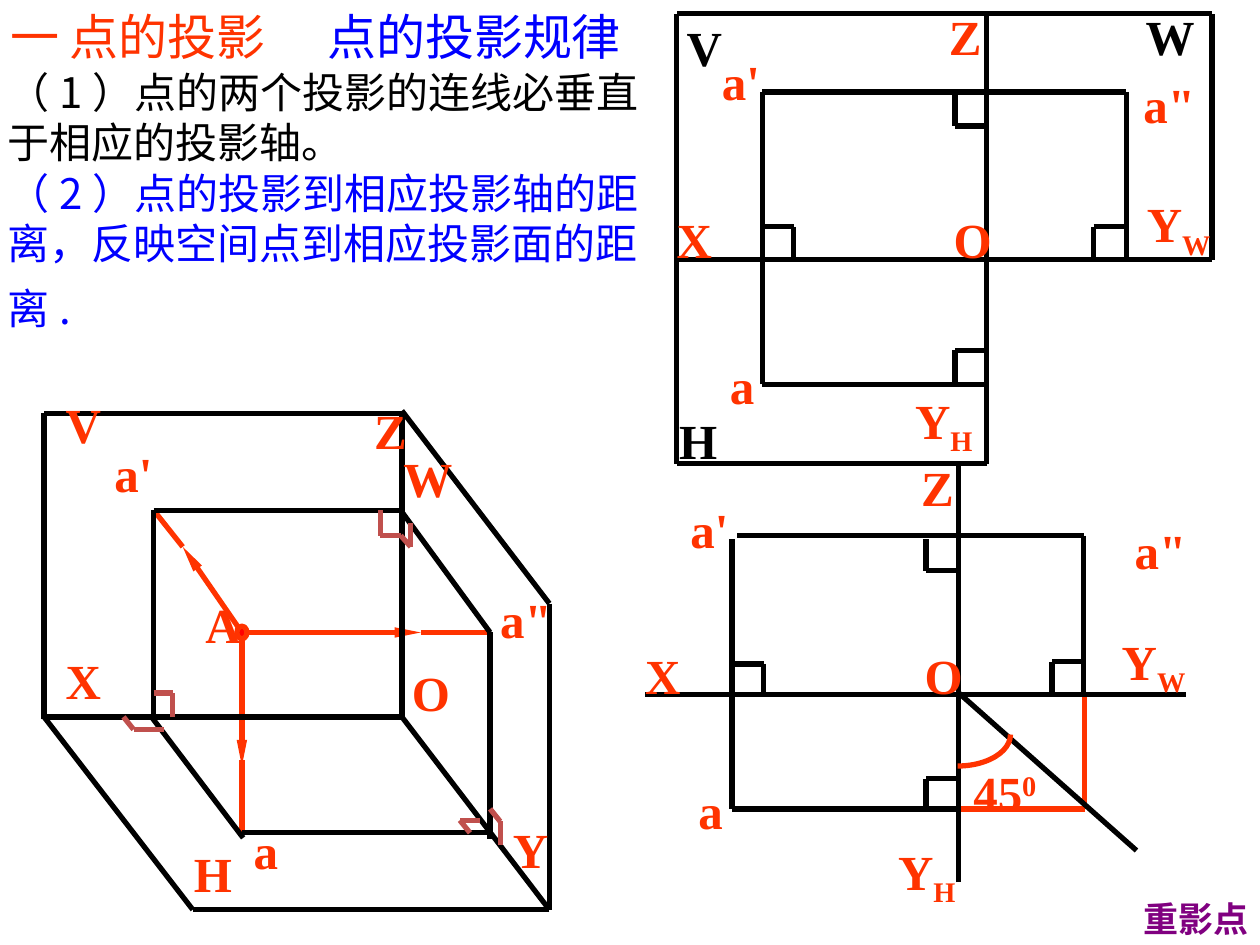
"""Build a slide on the projection rules of a point, with an oblique view and two unfolded views."""
from itertools import pairwise

from lxml import etree
from pptx import Presentation
from pptx.dml.color import RGBColor
from pptx.enum.shapes import MSO_CONNECTOR, MSO_SHAPE
from pptx.enum.text import MSO_ANCHOR, MSO_AUTO_SIZE, PP_ALIGN
from pptx.oxml.ns import qn
from pptx.util import Cm, Pt

STRAIGHT = MSO_CONNECTOR.STRAIGHT
OVAL, ARC = MSO_SHAPE.OVAL, MSO_SHAPE.ARC
TOP, MIDDLE = MSO_ANCHOR.TOP, MSO_ANCHOR.MIDDLE
LEFT, CENTER = PP_ALIGN.LEFT, PP_ALIGN.CENTER
NO_RESIZE = MSO_AUTO_SIZE.NONE
INCH = 2.54
LABEL_HEIGHT = 0.57
THEME = {
    "black": RGBColor(0x00, 0x00, 0x00),
    "orange": RGBColor(0xFF, 0x33, 0x00),
    "red": RGBColor(0xFF, 0x00, 0x00),
    "brick": RGBColor(0xC0, 0x50, 0x4D),
    "blue": RGBColor(0x00, 0x00, 0xFF),
    "purple": RGBColor(0x80, 0x00, 0x80),
    "chinese": "Noto Sans CJK SC",
    "heading": {"name": "Noto Sans CJK SC", "size": Pt(28), "bold": False},
    "subheading": {"name": "Cambria", "size": Pt(28), "bold": False},
    "body": {"name": "Noto Sans CJK SC", "size": Pt(24), "bold": False},
    "body_end": {"name": "Noto Sans CJK SC", "size": Pt(32), "bold": True},
    "label": {"name": "Times New Roman", "size": Pt(28), "bold": True},
    "link": {"name": "Cambria", "size": Pt(20), "bold": True},
    "line": Pt(3),
}


def add_run(paragraph, text, style, color, baseline=0):
    run = paragraph.add_run()
    run.text = text
    for name, value in THEME[style].items():
        setattr(run.font, name, value)
    run.font.color.rgb = THEME[color]
    properties = run._r.get_or_add_rPr()
    etree.SubElement(properties, qn("a:ea"), typeface=THEME["chinese"])
    if baseline:
        properties.set("baseline", str(baseline * 1000))


def format_box(shape, box, anchor, alignment, wrap):
    for name, value in zip(("left", "top", "width", "height"), box):
        setattr(shape, name, Cm(value * INCH))
    frame = shape.text_frame
    settings = {"vertical_anchor": anchor, "word_wrap": wrap, "auto_size": NO_RESIZE}
    for name, value in settings.items():
        setattr(frame, name, value)
    frame.paragraphs[0].alignment = alignment
    return frame


presentation = Presentation()
presentation.slide_width, presentation.slide_height = Cm(25.4), Cm(19.05)
slide = presentation.slides.add_slide(presentation.slide_layouts[5])
shapes = slide.shapes

title = format_box(shapes.title, (-0.02, 0, 2.34, 0.57), TOP, LEFT, False)
add_run(title.paragraphs[0], "一 点的投影", "heading", "orange")

body = format_box(shapes.add_textbox(0, 0, 0, 0), (-0.04, 0.68, 5.39, 1.83), MIDDLE, LEFT, True)
add_run(body.paragraphs[0], "（1）点的两个投影的连线必垂直于相应的投影轴。", "body", "black")
second_rule = body.add_paragraph()
add_run(second_rule, "（2）点的投影到相应投影轴的距离，反映空间点到相应投影面的距离.", "body", "blue")
add_run(second_rule, " ", "body_end", "brick")

point_a, projection_v, projection_w = (1.92, 5.02), (1.22, 4.05), (3.89, 5.02)
oblique_lines = [
    ("orange", True, [point_a, (1.45, 4.34)]),
    ("orange", False, [(1.45, 4.34), projection_v]),
    ("orange", True, [point_a, (3.34, 5.02)]),
    ("orange", False, [(3.34, 5.02), projection_w]),
    ("orange", True, [point_a, (1.92, 6.08)]),
    ("orange", False, [(1.92, 6.03), (1.92, 6.61)]),
    ("black", False, [(0.35, 5.71), (0.35, 3.28), (3.19, 3.28)]),
    ("black", False, [(0.35, 5.69), (3.19, 5.69), (4.36, 7.22), (1.53, 7.22), (0.35, 5.69)]),
    ("black", False, [(3.19, 5.69), (3.19, 3.26), (4.36, 4.79), (4.36, 7.22)]),
    ("black", False, [(1.22, 5.69), projection_v, (3.18, 4.05), projection_w, (3.89, 6.66)]),
    ("black", False, [(1.21, 5.7), (1.93, 6.65)]),
    ("black", False, [(1.92, 6.61), (3.89, 6.61)]),
    ("brick", False, [(1.22, 5.5), (1.37, 5.5), (1.37, 5.69)]),
    ("brick", False, [(0.98, 5.69), (1.06, 5.79), (1.3, 5.79)]),
    ("brick", False, [(3.89, 6.42), (3.97, 6.52), (3.97, 6.71)]),
    ("brick", False, [(3.02, 4.05), (3.02, 4.25), (3.18, 4.25), (3.26, 4.34), (3.26, 4.15)]),
    ("brick", False, [(3.81, 6.51), (3.65, 6.51), (3.73, 6.61)]),
]
unfolded_lines = [
    ("black", False, [(5.37, 2.06), (9.62, 2.06), (9.62, 0.11), (5.37, 0.11), (5.37, 3.68),
                      (7.83, 3.68), (7.83, 0.11)]),
    ("black", False, [(7.83, 3.05), (6.05, 3.05), (6.05, 0.73), (8.94, 0.73), (8.94, 2.07)]),
    ("black", False, [(6.05, 1.8), (6.3, 1.8), (6.3, 2.07)]),
    ("black", False, [(7.83, 2.78), (7.58, 2.78), (7.58, 3.05)]),
    ("black", False, [(7.58, 0.73), (7.58, 1), (7.83, 1)]),
    ("black", False, [(8.68, 2.07), (8.68, 1.8), (8.94, 1.8)]),
]
axes_lines = [
    ("orange", False, [(8.61, 5.5), (8.61, 6.42), (7.53, 6.42)]),
    ("black", False, [(7.61, 5.5), (9.02, 6.75)]),
    ("black", False, [(5.12, 5.51), (9.41, 5.51)]),
    ("black", False, [(7.61, 7), (7.61, 3.7)]),
    ("black", False, [(5.81, 4.28), (5.81, 6.42), (7.62, 6.42)]),
    ("black", False, [(5.85, 4.25), (8.6, 4.25), (8.6, 5.49)]),
    ("black", False, [(5.81, 5.27), (6.06, 5.27), (6.06, 5.52)]),
    ("black", False, [(7.61, 6.18), (7.35, 6.18), (7.35, 6.42)]),
    ("black", False, [(7.35, 4.28), (7.35, 4.53), (7.61, 4.53)]),
    ("black", False, [(8.35, 5.5), (8.35, 5.25), (8.61, 5.25)]),
]
for color, has_arrow, points in oblique_lines + unfolded_lines + axes_lines:
    for start, end in pairwise(points):
        connector = shapes.add_connector(STRAIGHT, *(Cm(value * INCH) for value in start + end))
        connector.line.color.rgb = THEME[color]
        connector.line.width = THEME["line"]
        etree.SubElement(connector._element.spPr, qn("a:effectLst"))
        if has_arrow:
            line = connector.line._get_or_add_ln()
            etree.SubElement(line, qn("a:tailEnd"), type="triangle", w="sm", len="lg")

curves = [
    (OVAL, (1.88, 4.97, 0.08, 0.1)),
    (ARC, (7.18, 5.58, 0.84, 0.5)),
]
for kind, box in curves:
    curve = shapes.add_shape(kind, *(Cm(value * INCH) for value in box))
    curve.shadow.inherit = False
    curve.line.color.rgb = THEME["orange"]
    curve.line.width = THEME["line"]
    if kind == ARC:
        curve.fill.background()
        curve.adjustments[0], curve.adjustments[1] = 0, 54
    else:
        curve.fill.solid()
        curve.fill.fore_color.rgb = THEME["red"]

labels = [
    ("A", "", 1.53, 4.67, 0.48, "orange"),
    ("O", "", 3.17, 5.21, 0.5, "orange"),
    ("X", "", 0.42, 5.11, 0.48, "orange"),
    ("Z", "", 2.87, 3.13, 0.46, "orange"),
    ("Y", "", 3.97, 6.45, 0.48, "orange"),
    ("V", "", 0.42, 3.08, 0.48, "orange"),
    ("H", "", 1.44, 6.64, 0.5, "orange"),
    ("W", "", 3.1, 3.51, 0.59, "orange"),
    ("a'", "", 0.81, 3.47, 0.5, "orange"),
    ("a", "", 1.91, 6.46, 0.4, "orange"),
    ('a"', "", 3.87, 4.63, 0.61, "orange"),
    ("V", "", 5.35, 0.09, 0.48, "black"),
    ("H", "", 5.29, 3.21, 0.5, "black"),
    ("W", "", 8.99, 0, 0.59, "black"),
    ("O", "", 7.47, 1.61, 0.5, "orange"),
    ("X", "", 5.27, 1.61, 0.48, "orange"),
    ("Y", "H", 7.1, 3.08, 0.78, "orange"),
    ("Z", "", 7.43, 0, 0.46, "orange"),
    ("Y", "W", 8.98, 1.52, 0.75, "orange"),
    ("a'", "", 5.63, 0.36, 0.5, "orange"),
    ("a", "", 5.69, 2.77, 0.4, "orange"),
    ('a"', "", 8.94, 0.54, 0.68, "orange"),
    ("45", "0", 7.6, 6, 0.75, "orange"),
    ("O", "", 7.24, 5.07, 0.5, "orange"),
    ("X", "", 5.02, 5.07, 0.48, "orange"),
    ("Y", "H", 6.94, 6.66, 0.83, "orange"),
    ("Z", "", 7.21, 3.58, 0.46, "orange"),
    ("Y", "W", 8.78, 4.99, 0.75, "orange"),
    ("a'", "", 5.38, 3.91, 0.5, "orange"),
    ("a", "", 5.44, 6.14, 0.4, "orange"),
    ('a"', "", 8.73, 4.08, 0.96, "orange"),
]
for text, index, left, top, width, color in labels:
    box = (left, top, width, LABEL_HEIGHT)
    frame = format_box(shapes.add_textbox(0, 0, 0, 0), box, MIDDLE, CENTER, False)
    add_run(frame.paragraphs[0], text, "label", color)
    if index:
        add_run(frame.paragraphs[0], index, "label", color, 30 if index == "0" else -25)

captions = [
    ("点的投影规律", "subheading", "blue", (2.5, 0, 2.53, 0.57)),
    ("重影点", "link", "purple", (8.98, 7.07, 1.04, 0.43)),
]
for text, style, color, box in captions:
    frame = format_box(shapes.add_textbox(0, 0, 0, 0), box, TOP, LEFT, False)
    add_run(frame.paragraphs[0], text, style, color)

presentation.save("out.pptx")
